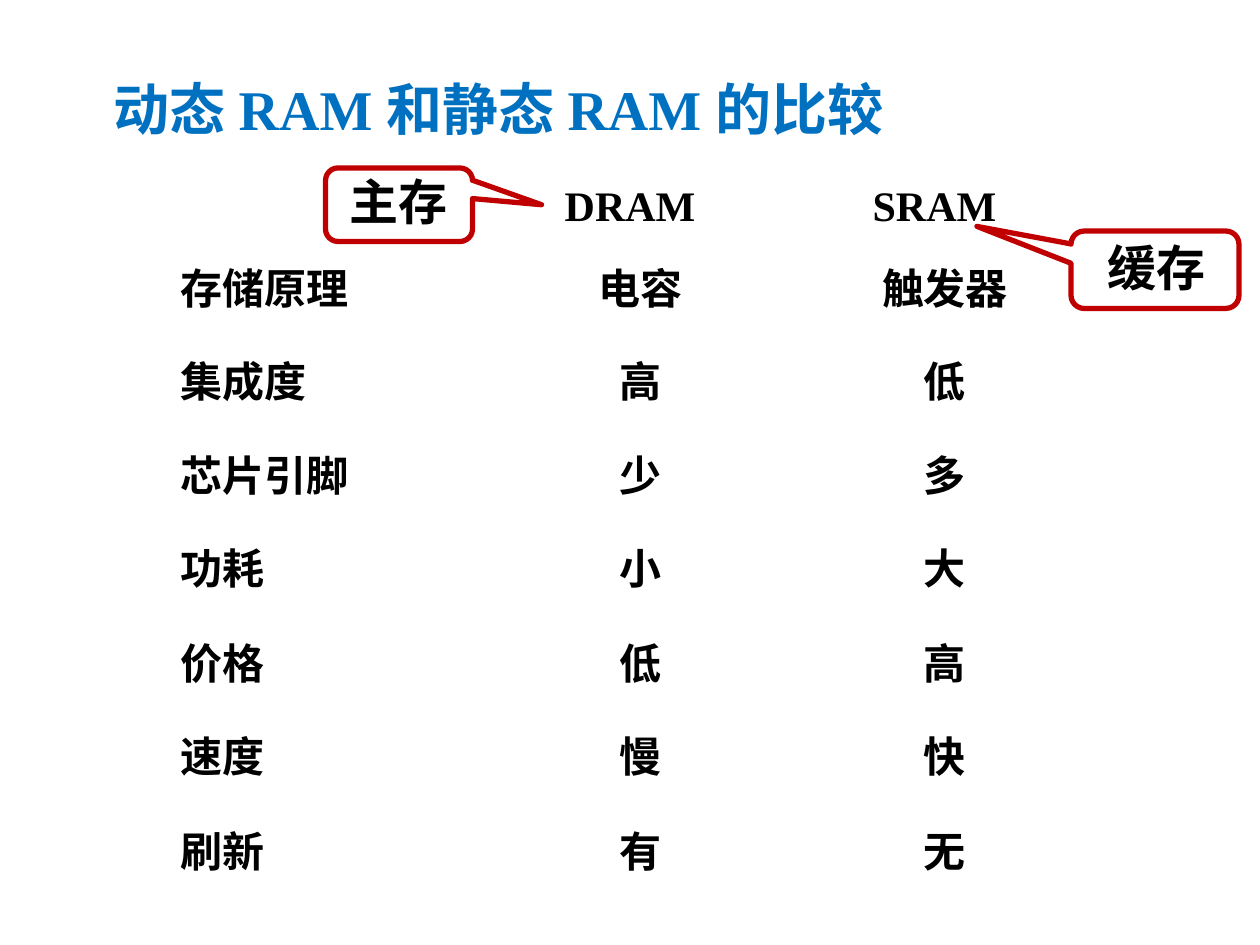
"""Build a slide comparing dynamic RAM with static RAM."""
from dataclasses import dataclass

from pptx import Presentation, util as u
from pptx.dml.color import RGBColor
from pptx.enum import shapes, text


@dataclass(frozen=True)
class Theme:
    font: str = "Times New Roman"
    title: RGBColor = RGBColor(0x00, 0x70, 0xC0)
    ink: RGBColor = RGBColor(0x00, 0x00, 0x00)
    callout: RGBColor = RGBColor(0xC0, 0x00, 0x00)
    indent_size: int = 44
    title_size: int = 32
    label_size: int = 28
    body_size: int = 24


theme = Theme()
PX = 9525
LEFT, CENTER = text.PP_ALIGN.LEFT, text.PP_ALIGN.CENTER

deck = Presentation()
deck.slide_width, deck.slide_height = 960 * PX, 720 * PX
page = deck.slides.add_slide(deck.slide_layouts[6])


def style(span, size, color):
    span.font.name = theme.font
    span.font.size = u.Pt(size)
    span.font.bold = True
    span.font.color.rgb = color


def add_label(words, left, top, width, height, size, align):
    box = page.shapes.add_textbox(left * PX, top * PX, width * PX, height * PX)
    frame = box.text_frame
    frame.word_wrap = True
    frame.auto_size = text.MSO_AUTO_SIZE.SHAPE_TO_FIT_TEXT
    frame.text = words
    para = frame.paragraphs[0]
    para.alignment = align
    style(para.runs[0], size, theme.ink)


title = page.shapes.add_textbox(64 * PX, 16 * PX, 876 * PX, 120 * PX)
title.text_frame.word_wrap = True
title.text_frame.vertical_anchor = text.MSO_ANCHOR.MIDDLE
para = title.text_frame.paragraphs[0]
for words, size in ((" ", theme.indent_size),
                    ("动态 RAM 和静态 RAM 的比较", theme.title_size)):
    span = para.add_run()
    span.text = words
    style(span, size, theme.title)

for words, left in (("DRAM", 352), ("SRAM", 584)):
    add_label(words, left, 132, 256, 48, theme.body_size, CENTER)

comparison = (
    ("存储原理", "电容", "触发器"),
    ("集成度", "高", "低"),
    ("芯片引脚", "少", "多"),
    ("功耗", "小", "大"),
    ("价格", "低", "高"),
    ("速度", "慢", "快"),
    ("刷新", "有", "无"),
)
columns = ((128, LEFT), (360, CENTER), (592, CENTER))
for row, entries in enumerate(comparison):
    top = 195 + row * 143 // 2
    for words, (left, align) in zip(entries, columns):
        add_label(words, left, top, 256, 48, theme.body_size, align)

callouts = (
    ("主存", (248, 128, 112, 56), (0.97, 0), (254, 126, 99, 55)),
    ("缓存", (816, 176, 128, 59), (-1.06, -0.56), (831, 176, 100, 55)),
)
for words, bounds, tip, label_bounds in callouts:
    bubble = page.shapes.add_shape(
        shapes.MSO_SHAPE.ROUNDED_RECTANGULAR_CALLOUT, *(side * PX for side in bounds))
    bubble.adjustments[0], bubble.adjustments[1] = tip
    bubble.adjustments[2] = 0.17
    bubble.shadow.inherit = False
    bubble.fill.background()
    bubble.line.color.rgb = theme.callout
    bubble.line.width = u.Pt(3)
    add_label(words, *label_bounds, theme.label_size, CENTER)

deck.save("out.pptx")
